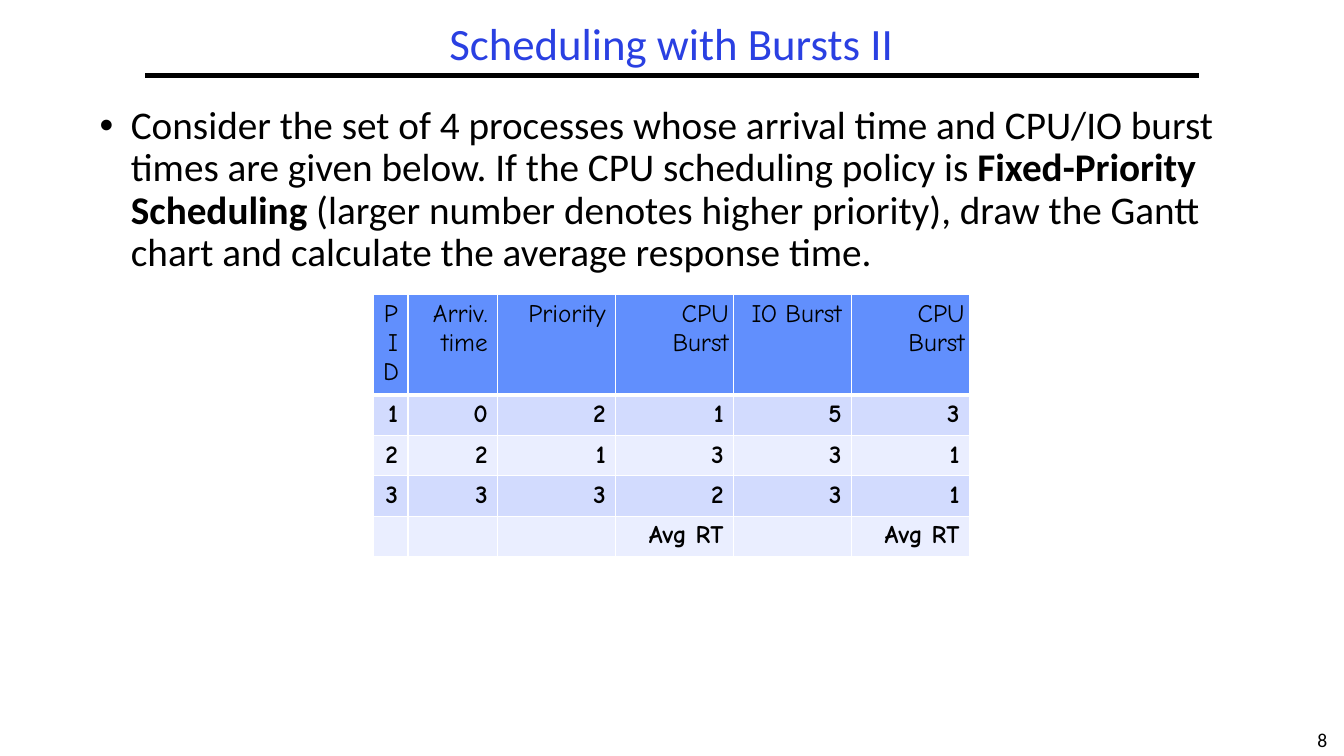
from lxml.etree import SubElement
from pptx import Presentation
from pptx.dml.color import RGBColor
from pptx.enum.shapes import MSO_CONNECTOR
from pptx.enum.text import MSO_ANCHOR, PP_ALIGN
from pptx.oxml.ns import qn
from pptx.util import Inches, Pt

COLORS = {"ink": "000000", "title": "2A40E2", "header": "618FFD",
          "odd": "D2DBFE", "even": "EAEEFF", "border": "FFFFFF"}
TEXT_FONT = "Calibri"
TABLE_FONT = "Comic Neue"


class SlideBuilder:
    def __init__(self, presentation):
        self.width = presentation.slide_width
        self.height = presentation.slide_height
        self.slide = presentation.slides.add_slide(presentation.slide_layouts[6])

    def x(self, percent):
        return round(self.width * percent / 100)

    def y(self, percent):
        return round(self.height * percent / 100)

    def box(self, left, top, width, height):
        return self.x(left), self.y(top), self.x(width), self.y(height)

    def style(self, run, size, color="ink", font=TEXT_FONT, bold=False):
        run.font.size = Pt(size)
        run.font.name = font
        run.font.bold = bold
        run.font.color.rgb = RGBColor.from_string(COLORS[color])

    def text(self, area, pieces, size, color="ink", align=PP_ALIGN.CENTER,
             anchor=MSO_ANCHOR.TOP, spacing=None, wrap=True):
        frame = self.slide.shapes.add_textbox(*self.box(*area)).text_frame
        frame.word_wrap = wrap
        frame.vertical_anchor = anchor
        paragraph = frame.paragraphs[0]
        paragraph.alignment = align
        paragraph.line_spacing = spacing
        for words, bold in pieces:
            run = paragraph.add_run()
            run.text = words
            self.style(run, size, color, bold=bold)
        return paragraph

    def bullet(self, area, pieces, size):
        paragraph = self.text(area, pieces, size, align=PP_ALIGN.LEFT, spacing=0.9)
        properties = paragraph._p.get_or_add_pPr()
        indent = Inches(0.31)
        properties.set("marL", str(indent))
        properties.set("indent", str(-indent))
        before = SubElement(properties, qn("a:spcBef"))
        SubElement(before, qn("a:spcPct"), val="30000")
        SubElement(properties, qn("a:buFont"), typeface="Arial")
        SubElement(properties, qn("a:buChar"), char="•")

    def rule(self, left, right, top, weight):
        line = self.slide.shapes.add_connector(
            MSO_CONNECTOR.STRAIGHT, self.x(left), self.y(top), self.x(right), self.y(top))
        line.line.color.rgb = RGBColor.from_string(COLORS["ink"])
        line.line.width = Pt(weight)
        SubElement(line._element.spPr, qn("a:effectLst"))

    def border(self, cell, row):
        weights = {"lnL": 1, "lnR": 1, "lnT": 3 if row == 1 else 1, "lnB": 3 if row == 0 else 1}
        for side, weight in weights.items():
            edge = SubElement(cell._tc.get_or_add_tcPr(), qn(f"a:{side}"), w=str(Pt(weight)))
            fill = SubElement(edge, qn("a:solidFill"))
            SubElement(fill, qn("a:srgbClr"), val=COLORS["border"])

    def cell(self, cell, words, row):
        self.border(cell, row)
        shade = "header" if row == 0 else "odd" if row % 2 else "even"
        cell.fill.solid()
        cell.fill.fore_color.rgb = RGBColor.from_string(COLORS[shade])
        if words == "CPU Burst":
            cell.margin_left = cell.margin_right = Inches(0.05)
        paragraph = cell.text_frame.paragraphs[0]
        paragraph.text = words
        paragraph.alignment = PP_ALIGN.RIGHT
        for run in paragraph.runs:
            self.style(run, 18, font=TABLE_FONT, bold=row > 0)
        if not words:
            SubElement(paragraph._p, qn("a:endParaRPr"), sz="1200")

    def table(self, left, top, widths, heights, rows):
        area = self.box(left, top, sum(widths), sum(heights))
        table = self.slide.shapes.add_table(len(rows), len(widths), *area).table
        for column, width in zip(table.columns, widths):
            column.width = self.x(width)
        for index, (height, values) in enumerate(zip(heights, rows)):
            table.rows[index].height = self.y(height)
            for cell, words in zip(table.rows[index].cells, values):
                self.cell(cell, words, index)


def main():
    presentation = Presentation()
    presentation.slide_width = Inches(13.33)
    presentation.slide_height = Inches(7.5)
    builder = SlideBuilder(presentation)

    builder.text((96.77, 95.6, 3.23, 4.4), [("8", False)], 14, wrap=False)
    builder.rule(10.8, 89.2, 10, 3)
    builder.text((10.8, 2.27, 78.32, 7.73), [("Scheduling with Bursts II", False)], 32,
                 color="title", anchor=MSO_ANCHOR.MIDDLE, spacing=0.9)

    question = [
        ("Consider the set of 4 processes whose arrival time and CPU/IO burst times "
         "are given below. If the CPU scheduling policy is ", False),
        ("Fixed-Priority Scheduling", True),
        (" (larger number denotes higher priority), draw the Gantt chart and "
         "calculate the average response time.", False),
    ]
    builder.bullet((6.68, 13.33, 86.72, 74.4), question, 28)

    processes = [
        ["PID", "Arriv. time", "Priority", "CPU Burst", "IO Burst", "CPU Burst"],
        ["1", "0", "2", "1", "5", "3"],
        ["2", "2", "1", "3", "3", "1"],
        ["3", "3", "3", "2", "3", "1"],
        ["", "", "", "Avg RT", "", "Avg RT"],
    ]
    builder.table(27.76, 38.93, [2.6, 6.68] + [8.78] * 4, [12.8] + [5.17] * 4, processes)

    presentation.save("out.pptx")


if __name__ == "__main__":
    main()
